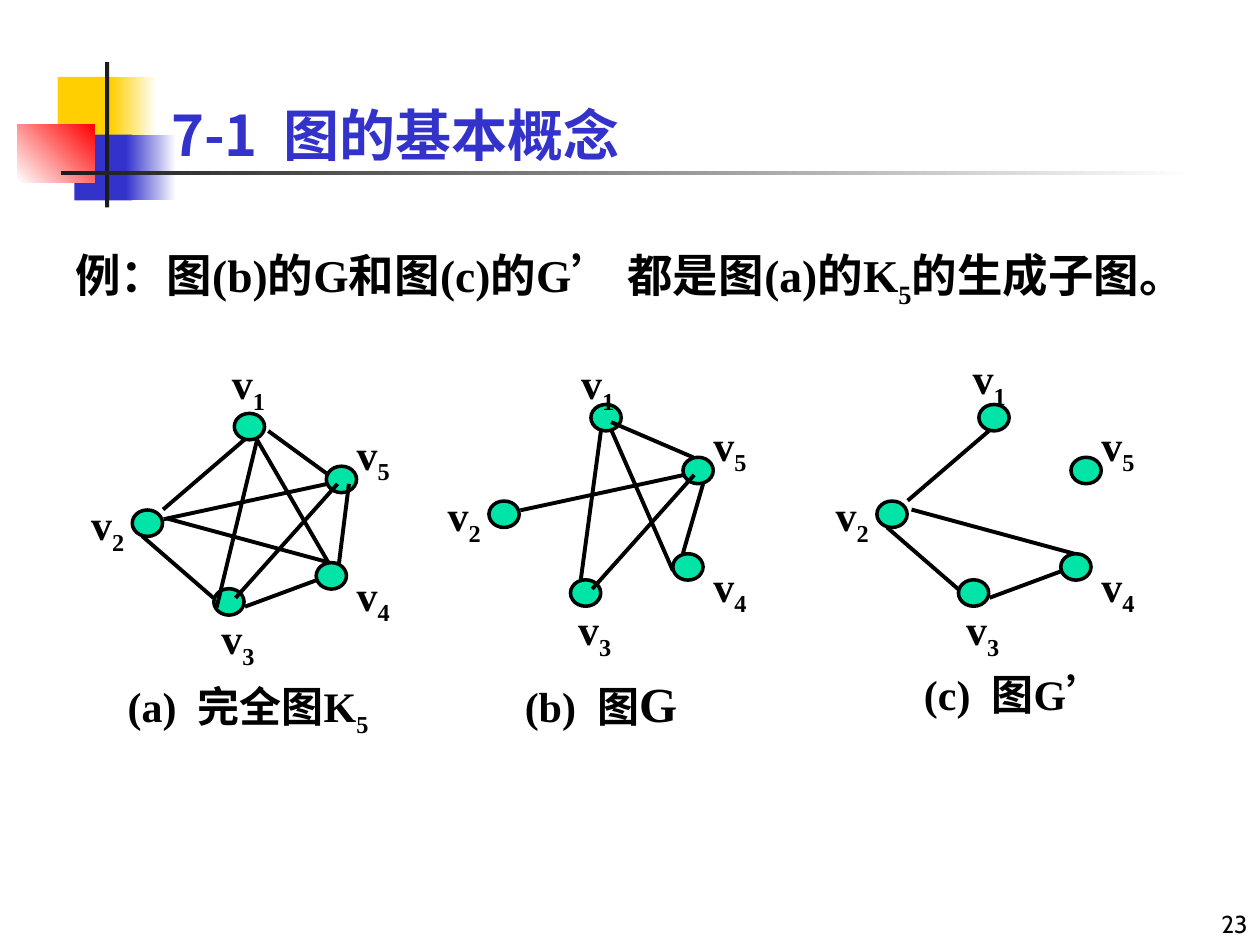
from pptx import Presentation
from pptx.util import Pt
from pptx.dml.color import RGBColor
from pptx.enum.shapes import MSO_SHAPE, MSO_CONNECTOR
from pptx.enum.text import PP_ALIGN, MSO_ANCHOR
from pptx.oxml.ns import qn
from lxml import etree


def rgb(c):
    return RGBColor.from_string(c)


def text(box, runs, size, font='Times New Roman', color='000000', bold=True,
         frame={}, para={}):
    tf = s.shapes.add_textbox(*map(Pt, box)).text_frame
    for k, v in {'word_wrap': True, **frame}.items():
        setattr(tf, k, v)
    p = tf.paragraphs[0]
    for k, v in para.items():
        setattr(p, k, v)
    for t, opts in runs:
        r = p.add_run()
        r.text = t
        fmt = {'size': Pt(size), 'bold': bold, 'name': font, **opts.get('font', {})}
        for k, v in fmt.items():
            setattr(r.font, k, v)
        r.font.color.rgb = rgb(color)
        rPr = r.font._element
        if opts.get('sub'):
            rPr.set('baseline', '-25000')
        etree.SubElement(rPr, qn('a:ea')).set('typeface', 'Noto Sans CJK SC')
    return p


prs = Presentation()
prs.slide_width, prs.slide_height = Pt(720), Pt(540)
s = prs.slides.add_slide(prs.slide_layouts[6])

decor = [
    ((33, 44, 34.5, 37.5), ['FFCF01'], 0),
    ((63.4, 44, 26, 37.5), ['FFCF01', 'FFFFFF'], 0),
    ((42.5, 77, 33, 37.5), ['3333CC'], 0),
    ((72, 77, 28.8, 37.5), ['3333CC', 'FFFFFF'], 0),
    ((10, 71, 44, 33.5), ['FFFFFF', 'FF0000'], 45),
    ((60, 35.5, 2.4, 83), ['1C1C1C'], 0),
    ((34.8, 97.8, 648, 2.2), ['1C1C1C', 'FFFFFF'], 0),
]
for box, colors, angle in decor:
    sp = s.shapes.add_shape(MSO_SHAPE.RECTANGLE, *map(Pt, box))
    sp.shadow.inherit = False
    sp.line.fill.background()
    if len(colors) == 1:
        sp.fill.solid()
        sp.fill.fore_color.rgb = rgb(colors[0])
    else:
        sp.fill.gradient()
        sp.fill.gradient_angle = angle
        for stop, c in zip(sp.fill.gradient_stops, colors):
            stop.color.rgb = rgb(c)

sub5 = ('5', {'sub': True})
text((570, 504, 150, 36), [('23', {})], 14, 'Cabin', bold=False,
     frame={'vertical_anchor': MSO_ANCHOR.BOTTOM}, para={'alignment': PP_ALIGN.RIGHT})
text((90.7, 5.8, 613.4, 90), [('7-1  图的基本概念', {})], 32, 'Noto Sans CJK SC', '3333CC',
     frame={'vertical_anchor': MSO_ANCHOR.BOTTOM, 'margin_bottom': 0})
p = text((36, 138.2, 642.2, 324),
         [('例：图(b)的G和图(c)的G’ 都是图(a)的K', {}), sub5, ('的生成子图。', {})], 26,
         para={'line_spacing': 0.9, 'space_before': Pt(6.5)})
p._p.get_or_add_pPr().set('marL', str(Pt(27)))
p._p.get_or_add_pPr().set('indent', str(-Pt(27)))

nodes = [(0, 0), (-58.3, 55.2), (-11.7, 100.2), (46.8, 85.3), (52.6, 30.2)]
labels = {2: (-92, 45.3), 3: (-17.5, 110.4), 4: (59.8, 85.5), 5: (59.8, 5)}
edges = {
    '12': (6.1, 14.8, -40.7, 55), '13': (13, 15.1, -10.1, 110.9),
    '14': (13, 15.1, 54, 85.7), '15': (54, 35.3, 19.4, 10.1),
    '23': (-11.9, 105.5, -52.6, 70.2), '24': (54.4, 85.3, -38.5, 60.1),
    '25': (53.3, 40.3, -40.3, 60.5), '34': (46.8, 95.4, 6.1, 110.5),
    '35': (59, 40.3, 0.7, 105.5), '45': (65.5, 40.3, 59.8, 85.7),
}
edges_b = {
    '13': (5.8, 14.4, -5.8, 100.1), '14': (46.8, 95, 11.5, 14.4),
    '15': (58.3, 30.2, 11.5, 10.1), '25': edges['25'], '35': edges['35'],
    '45': (64.1, 45.4, 52.6, 85),
}
edges_c = {k: edges[k] for k in ('12', '23', '24', '34')}
graphs = [
    ((133.9, 236.2), edges, (-11.5, -35.3)),
    ((337.7, 231.1), edges_b, (-15.8, -30.2)),
    ((559.4, 231.1), edges_c, (-13.7, -33.1)),
]
for (x, y), links, first in graphs:
    for dx, dy in nodes:
        sp = s.shapes.add_shape(MSO_SHAPE.OVAL, Pt(x + dx), Pt(y + dy), Pt(17.3), Pt(15.1))
        sp.shadow.inherit = False
        sp.fill.solid()
        sp.fill.fore_color.rgb = rgb('00E4A8')
        sp.line.color.rgb = rgb('000000')
        sp.line.width = Pt(2)
    for x1, y1, x2, y2 in links.values():
        ln = s.shapes.add_connector(MSO_CONNECTOR.STRAIGHT, Pt(x + x1), Pt(y + y1),
                                    Pt(x + x2), Pt(y + y2))
        ln.line.color.rgb = rgb('000000')
        ln.line.width = Pt(2.25)
        etree.SubElement(ln._element.spPr, qn('a:effectLst'))
    for n, (dx, dy) in {1: first, **labels}.items():
        text((x + dx, y + dy, 39.2, 40.3), [('v', {}), (str(n), {'sub': True})], 24,
             para={'alignment': PP_ALIGN.CENTER, 'space_before': Pt(15)})

captions = [
    ((54, 386, 175.7, 40.3), [('(a)  完全图K', {}), sub5], 0.9, 0),
    ((285.1, 381.6, 116.6, 41), [('(b)  图', {}), ('G', {'font': {'size': Pt(28)}})], 1.0, 0),
    ((472.3, 381.6, 198.7, 36),
     [('(c)  图G', {}), ('’', {'font': {'name': 'Courier New'}})], 0.9, 18),
]
for box, runs, spacing, indent in captions:
    p = text(box, runs, 24, para={'alignment': PP_ALIGN.CENTER, 'line_spacing': spacing,
                                  'space_before': Pt(15)})
    p._p.get_or_add_pPr().set('marL', str(Pt(indent)))

prs.save("out.pptx")
